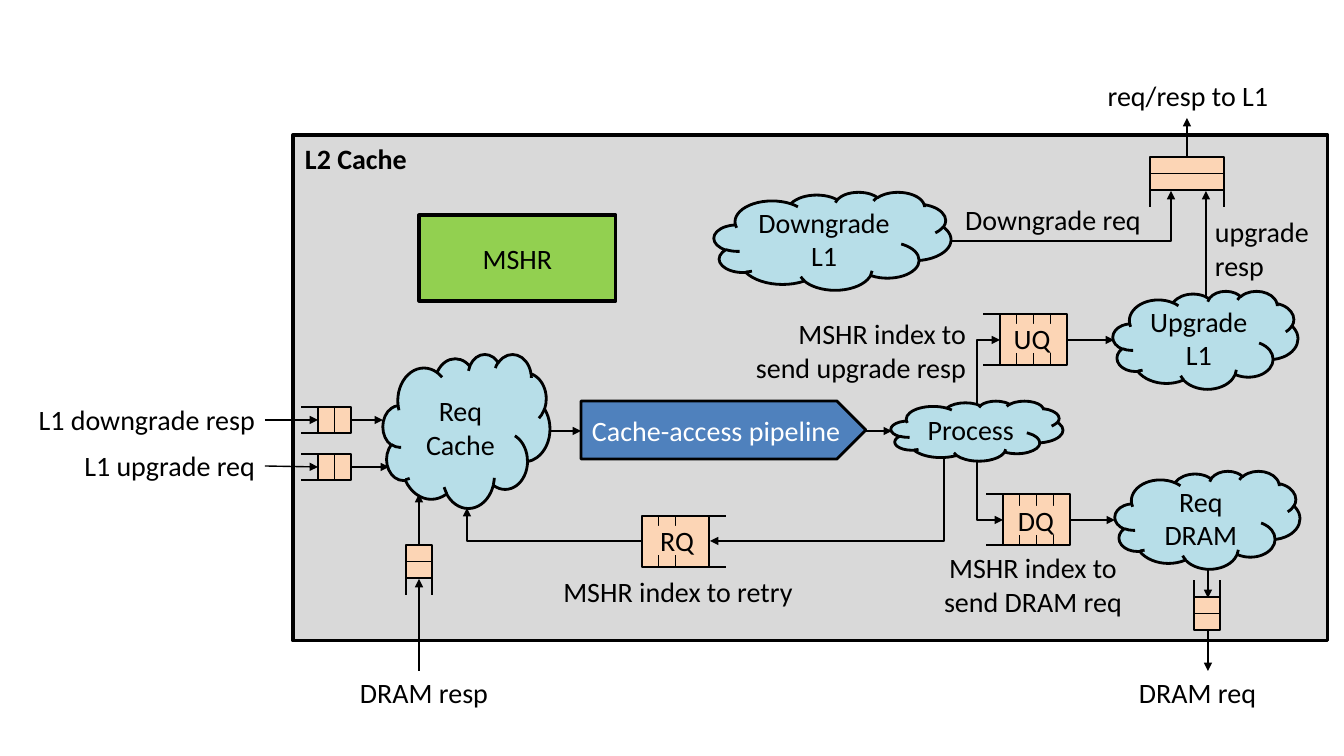
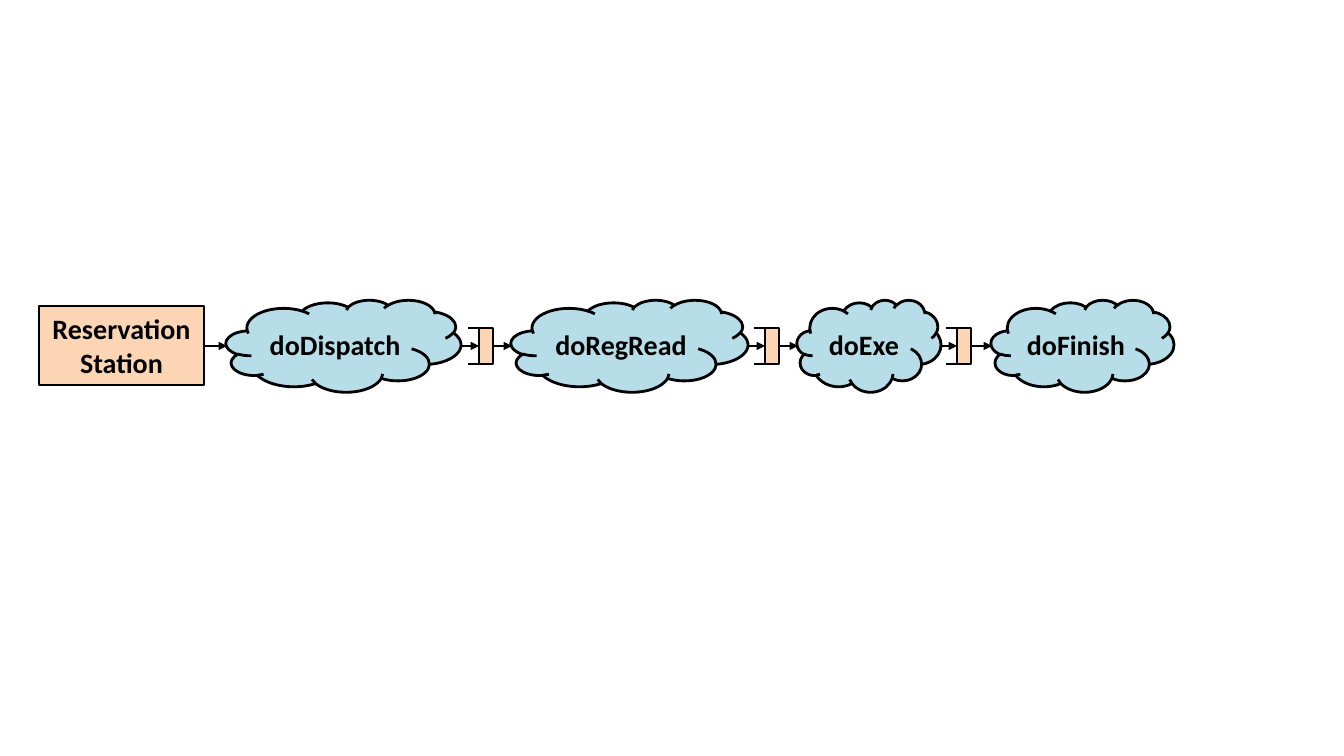
from dataclasses import dataclass
from enum import Enum
from typing import Any, NamedTuple

from lxml.etree import SubElement
from pptx import Presentation
from pptx.dml.color import RGBColor as Rgb
from pptx.enum.shapes import MSO_CONNECTOR as Link, MSO_SHAPE as Form
from pptx.enum.text import MSO_ANCHOR as Anchor, MSO_AUTO_SIZE as Fit, PP_ALIGN as Align
from pptx.oxml.ns import qn
from pptx.util import Emu, Pt


# Theme: colours, type and line widths
@dataclass(frozen=True)
class Theme:
    ink: Rgb = Rgb(0, 0, 0)
    white: Rgb = Rgb(255, 255, 255)
    panel: Rgb = Rgb(0xD9, 0xD9, 0xD9)
    blue: Rgb = Rgb(0x4F, 0x81, 0xBD)
    sky: Rgb = Rgb(0xB7, 0xDE, 0xE8)
    peach: Rgb = Rgb(0xFC, 0xD5, 0xB5)
    green: Rgb = Rgb(0x92, 0xD0, 0x50)
    font: str = "Calibri"
    size: int = 20
    thin: float = 1
    mid: float = 1.5
    thick: float = 2
    heavy: float = 2.25


T = Theme()
TYPE = {"name": T.font, "size": Pt(T.size)}
INNER = {"word_wrap": True, "vertical_anchor": Anchor.MIDDLE}
LABEL = {"word_wrap": True, "vertical_anchor": Anchor.TOP, "auto_size": Fit.SHAPE_TO_FIT_TEXT}

# One scale: 100.8 pixels to the inch
SCALE = 914400 / 100.8
LINE_H = 44


def px(n: float) -> Emu:
    return Emu(round(n * SCALE))


class Box(NamedTuple):
    x: float
    y: float
    w: float
    h: float


class Flow(Enum):
    RIGHT = "right"
    LEFT = "left"
    UP = "up"
    DOWN = "down"


class Turn(Enum):
    FLAT_FIRST = 100000
    DOWN_FIRST = 0


@dataclass(frozen=True)
class Node:
    box: Box
    text: str = ""
    fill: Rgb = T.sky
    form: Form = Form.CLOUD
    line: float = T.thick
    color: Rgb = T.ink
    bold: bool = False


@dataclass(frozen=True)
class Note:
    box: Box
    text: str
    align: Align = Align.CENTER
    bold: bool = False
    wrap: bool = True


@dataclass(frozen=True)
class Queue:
    box: Box
    flow: Flow = Flow.RIGHT
    cells: int = 1
    split: bool = True
    rail: int = 17
    line: float = T.thin


class Tag(NamedTuple):
    x: int
    y: int
    text: str


class Wire(NamedTuple):
    x1: float
    y1: float
    x2: float
    y2: float
    turn: Turn | None = None


# Drawing functions
def apply(item: Any, values: dict[str, Any]) -> None:
    for key, value in values.items():
        setattr(item, key, value)


def write(frame: Any, text: str, look: dict[str, Any], align: Align,
          color: Rgb = T.ink, bold: bool = False) -> None:
    apply(frame, look)
    for i, row in enumerate(text.split("\n")):
        para = frame.add_paragraph() if i else frame.paragraphs[0]
        para.alignment = align
        run = para.add_run()
        run.text = row
        apply(run.font, TYPE | {"bold": bold})
        run.font.color.rgb = color


def draw_node(slide: Any, node: Node) -> None:
    shape = slide.shapes.add_shape(node.form, *map(px, node.box))
    shape.shadow.inherit = False
    shape.fill.solid()
    shape.fill.fore_color.rgb = node.fill
    if node.line:
        shape.line.color.rgb = T.ink
        shape.line.width = Pt(node.line)
    else:
        shape.line.fill.background()
    if node.text:
        write(shape.text_frame, node.text, INNER, Align.CENTER, node.color, node.bold)


def draw_note(slide: Any, note: Note) -> None:
    shape = slide.shapes.add_textbox(*map(px, note.box))
    look = LABEL | {"word_wrap": note.wrap}
    write(shape.text_frame, note.text, look, note.align, bold=note.bold)


def draw_wire(slide: Any, wire: Wire, width: float = T.thin, arrow: bool = True) -> None:
    kind = Link.ELBOW if wire.turn else Link.STRAIGHT
    line = slide.shapes.add_connector(kind, *map(px, wire[:4]))
    line.line.color.rgb = T.ink
    line.line.width = Pt(width)
    if arrow:
        SubElement(line.get_or_add_ln(), qn("a:tailEnd"), type="triangle")
    if wire.turn:
        guides = line._element.xpath(".//a:avLst")[0]
        SubElement(guides, qn("a:gd"), name="adj1", fmla=f"val {wire.turn.value}")
    SubElement(line._element.spPr, qn("a:effectLst"))


def draw_queue(slide: Any, queue: Queue) -> None:
    x, y, w, h = queue.box
    flat = queue.flow in (Flow.RIGHT, Flow.LEFT)
    ahead = queue.flow in (Flow.RIGHT, Flow.DOWN)
    span = w if flat else h
    step = span / queue.cells

    def spot(along: float, side: int) -> tuple[float, float]:
        """Point measured along the flow from the entry edge."""
        run = along if ahead else span - along
        return (x + run, y + side * h) if flat else (x + side * w, y + run)

    def rule(a: tuple[float, float], b: tuple[float, float]) -> None:
        draw_wire(slide, Wire(*a, *b), queue.line, arrow=False)

    for i in range(queue.cells):
        cell = Box(x + i * step, y, step, h) if flat else Box(x, y + i * step, w, step)
        draw_node(slide, Node(cell, fill=T.peach, form=Form.RECTANGLE, line=queue.line))
        if queue.split:
            half = (i + 0.5) * step
            rule(spot(half, 0), spot(half, 1))
    for side in (0, 1):
        rule(spot(step / 2, side), spot(-queue.rail, side))


def draw_tag(slide: Any, tag: Tag) -> None:
    patch = Box(tag.x, tag.y, 55, 29)
    draw_node(slide, Node(patch, fill=T.peach, form=Form.RECTANGLE, line=0))
    draw_note(slide, Note(Box(tag.x - 9, tag.y - 7, 74, LINE_H), tag.text))


# Slide 1: cache parts
NODES = [
    Node(Box(293, 135, 1035, 506), fill=T.panel, form=Form.RECTANGLE, line=T.heavy),
    Node(Box(581, 401, 285, 58), "Cache-access pipeline", T.blue, Form.PENTAGON, color=T.white),
    Node(Box(419, 215, 197, 86), "MSHR", T.green, Form.RECTANGLE, T.heavy),
    Node(Box(891, 401, 172, 60), "Process"),
    Node(Box(714, 192, 237, 98), "Downgrade\nL1"),
    Node(Box(383, 354, 167, 154), "Req\nCache"),
    Node(Box(1113, 291, 185, 98), "Upgrade\nL1"),
    Node(Box(1115, 471, 185, 98), "Req\nDRAM"),
]
QUEUES = [
    Queue(Box(318, 407, 33, 26)),
    Queue(Box(318, 454, 33, 26)),
    Queue(Box(406, 545, 26, 33), Flow.UP),
    Queue(Box(1150, 157, 74, 33), Flow.UP),
    Queue(Box(1194, 597, 26, 33), Flow.DOWN),
    Queue(Box(1000, 314, 67, 51), cells=2),
    Queue(Box(1003, 494, 67, 51), cells=2),
    Queue(Box(642, 516, 67, 51), Flow.LEFT, cells=2),
]
TAGS = [Tag(1004, 324, "UQ"), Tag(1008, 506, "DQ"), Tag(649, 526, "RQ")]
WIRES = [
    # Requests and responses coming in
    Wire(265, 420, 318, 420),
    Wire(351, 420, 383, 420),
    Wire(265, 466, 318, 467),
    Wire(351, 467, 389, 467),
    Wire(419, 671, 419, 579),
    Wire(419, 545, 419, 494),
    # Through the pipeline
    Wire(550, 431, 581, 431),
    Wire(866, 431, 892, 431),
    Wire(977, 404, 1000, 340, Turn.DOWN_FIRST),
    Wire(977, 462, 1003, 520, Turn.DOWN_FIRST),
    Wire(944, 459, 710, 541, Turn.DOWN_FIRST),
    Wire(642, 541, 467, 508, Turn.FLAT_FIRST),
    # Going out
    Wire(1067, 340, 1114, 340),
    Wire(1070, 520, 1115, 520),
    Wire(950, 241, 1171, 191, Turn.FLAT_FIRST),
    Wire(1206, 296, 1206, 191),
    Wire(1187, 157, 1187, 118),
    Wire(1208, 569, 1208, 598),
    Wire(1208, 631, 1208, 671),
]
NOTES = [
    Note(Box(295, 137, 123, LINE_H), "L2 Cache", Align.LEFT, bold=True, wrap=False),
    Note(Box(27, 398, 238, LINE_H), "L1 downgrade resp", Align.RIGHT),
    Note(Box(60, 444, 205, LINE_H), "L1 upgrade req", Align.RIGHT),
    Note(Box(340, 671, 158, LINE_H), "DRAM resp", Align.RIGHT),
    Note(Box(1129, 671, 156, LINE_H), "DRAM req", Align.LEFT),
    Note(Box(739, 312, 237, 78), "MSHR index to send upgrade resp", Align.RIGHT),
    Note(Box(934, 198, 238, LINE_H), "Downgrade req"),
    Note(Box(923, 546, 220, 78), "MSHR index to send DRAM req"),
    Note(Box(543, 570, 270, LINE_H), "MSHR index to retry"),
    Note(Box(1205, 210, 119, 78), "upgrade resp", Align.LEFT),
    Note(Box(1083, 74, 210, LINE_H), "req/resp to L1"),
]


def build_cache(slide: Any) -> None:
    for draw, items in ((draw_node, NODES), (draw_queue, QUEUES), (draw_tag, TAGS),
                        (draw_wire, WIRES), (draw_note, NOTES)):
        for item in items:
            draw(slide, item)


# Slide 2: stages in a row, with a queue before each but the first
class Stage(NamedTuple):
    text: str
    x: int
    w: int
    gate: int | None = None


STAGES = [
    Stage("doDispatch", 226, 235),
    Stage("doRegRead", 511, 237, 479),
    Stage("doExe", 797, 144, 765),
    Stage("doFinish", 991, 183, 957),
]
AXIS = 346


def build_stages(slide: Any) -> None:
    start = Box(39, 306, 165, 79)
    draw_node(slide, Node(start, "Reservation\nStation", T.peach, Form.RECTANGLE, bold=True))
    end = start.x + start.w
    for stage in STAGES:
        draw_node(slide, Node(Box(stage.x, 300, stage.w, 92), stage.text, bold=True))
        if stage.gate is not None:
            gate = Box(stage.gate, AXIS - 18, 14, 36)
            draw_queue(slide, Queue(gate, split=False, rail=11, line=T.mid))
            draw_wire(slide, Wire(end, AXIS, gate.x, AXIS))
            end = gate.x + gate.w
        draw_wire(slide, Wire(end, AXIS, stage.x + 1, AXIS))
        end = stage.x + stage.w


# Build and save
deck = Presentation()
deck.slide_width, deck.slide_height = px(1344), px(756)
for build in (build_cache, build_stages):
    build(deck.slides.add_slide(deck.slide_layouts[6]))
deck.save("out.pptx")
